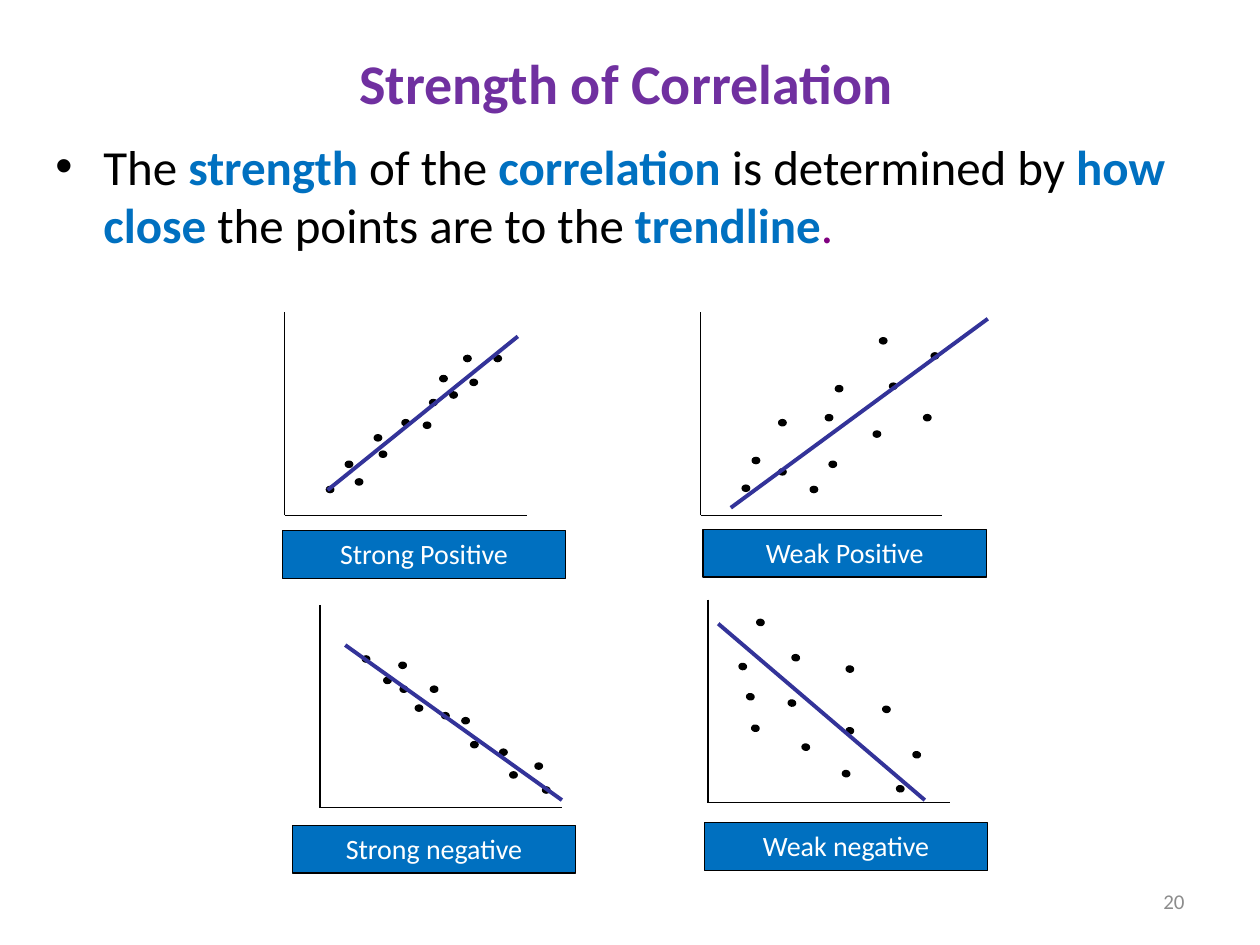
from lxml import etree
from pptx import Presentation
from pptx.dml.color import RGBColor
from pptx.enum.shapes import MSO_CONNECTOR, MSO_SHAPE
from pptx.enum.text import MSO_ANCHOR, MSO_AUTO_SIZE, PP_ALIGN
from pptx.oxml.ns import qn
from pptx.util import Inches, Pt

STRAIGHT = MSO_CONNECTOR.STRAIGHT
OVAL, RECTANGLE = MSO_SHAPE.OVAL, MSO_SHAPE.RECTANGLE
CENTER, RIGHT = PP_ALIGN.CENTER, PP_ALIGN.RIGHT
TOP, MIDDLE = MSO_ANCHOR.TOP, MSO_ANCHOR.MIDDLE

FONT = "Calibri"
COLORS = {
    "black": "000000", "white": "FFFFFF", "blue": "0070C0", "title": "7030A0",
    "period": "800080", "trend": "333399", "number": "8C8C8C",
}

# Content
TITLE = "Strength of Correlation"
SLIDE_NUMBER = "20"
STATEMENT = [  # text, colour, bold
    ("The ", "black", False), ("strength ", "blue", True),
    ("of the ", "black", False), ("correlation ", "blue", True),
    ("is determined by ", "black", False), ("how close ", "blue", True),
    ("the points are to the ", "black", False), ("trendline", "blue", True),
    (".", "period", False),
]
# Each plot: label and its corner, axis origin, trend line ends, dot corners
PLOTS = [
    {"label": "Strong Positive", "label_at": (2.24, 4.21), "origin": (2.26, 4.09),
     "trend": (2.6, 3.89, 4.11, 2.67), "rotation": 0,
     "dots": [(2.59, 3.86), (2.82, 3.8), (2.74, 3.66), (3.36, 3.35), (3.01, 3.58),
              (2.97, 3.45), (3.19, 3.33), (3.73, 3.01), (3.57, 3.11), (3.49, 2.98),
              (3.92, 2.82), (3.68, 2.82), (3.41, 3.17)]},
    {"label": "Weak Positive", "label_at": (5.58, 4.2), "origin": (5.56, 4.09),
     "trend": (5.8, 4.03, 7.84, 2.53), "rotation": 0,
     "dots": [(5.89, 3.85), (6.18, 3.72), (5.97, 3.63), (6.43, 3.86), (6.58, 3.66),
              (6.18, 3.33), (6.93, 3.42), (7.33, 3.29), (6.63, 3.06), (7.06, 3.04),
              (7.39, 2.8), (6.98, 2.68), (6.55, 3.29)]},
    {"label": "Strong negative", "label_at": (2.32, 6.55), "origin": (2.54, 6.41),
     "trend": (2.74, 5.12, 4.46, 6.35), "rotation": 90,
     "dots": [(2.88, 5.2), (3.05, 5.37), (3.17, 5.25), (3.18, 5.44), (3.3, 5.59),
              (3.42, 5.44), (3.51, 5.65), (4.05, 6.12), (3.74, 5.88), (3.97, 5.94),
              (4.31, 6.24), (4.25, 6.05), (3.67, 5.69)]},
    {"label": "Weak negative", "label_at": (5.59, 6.53), "origin": (5.62, 6.37),
     "trend": (5.7, 4.95, 7.34, 6.35), "rotation": 99,
     "dots": [(6.01, 4.91), (5.87, 5.26), (6.29, 5.19), (5.93, 5.5), (6.26, 5.55),
              (6.72, 5.28), (5.97, 5.75), (6.69, 6.11), (6.37, 5.9), (7.01, 5.6),
              (7.12, 6.23), (7.25, 5.96), (6.72, 5.77)]},
]
AXIS_WIDTH, AXIS_HEIGHT = 1.92, 1.61
LABEL_SIZE = (2.25, 0.38)


def color(name):
    return RGBColor.from_string(COLORS[name])


def place(shape, left, top, width, height):
    shape.left, shape.top = Inches(left), Inches(top)
    shape.width, shape.height = Inches(width), Inches(height)


def write(shape, text, size, color_name, alignment, anchor, bold=False):
    frame = shape.text_frame
    frame.word_wrap = True
    frame.auto_size = MSO_AUTO_SIZE.NONE
    frame.vertical_anchor = anchor
    frame.text = text
    paragraph = frame.paragraphs[0]
    paragraph.alignment = alignment
    font = paragraph.font
    font.name, font.size, font.bold = FONT, Pt(size), bold
    font.color.rgb = color(color_name)


def add_line(shapes, ends, color_name, width):
    line = shapes.add_connector(STRAIGHT, *map(Inches, ends))
    line.line.color.rgb = color(color_name)
    line.line.width = Pt(width)
    etree.SubElement(line._element.spPr, qn("a:effectLst"))


def add_filled(shapes, kind, box, fill):
    shape = shapes.add_shape(kind, *map(Inches, box))
    shape.shadow.inherit = False
    shape.fill.solid()
    shape.fill.fore_color.rgb = color(fill)
    shape.line.color.rgb = color("black")
    shape.line.width = Pt(0.75)
    return shape


def add_plot(slide, plot):
    # Axes and dots stay together as one group
    group = slide.shapes.add_group_shape()
    x, y = plot["origin"]
    add_line(group.shapes, (x, y - AXIS_HEIGHT, x, y), "black", 0.75)
    add_line(group.shapes, (x, y, x + AXIS_WIDTH, y), "black", 0.75)
    dot_size = (0.05, 0.06) if plot["rotation"] else (0.06, 0.05)
    for corner in plot["dots"]:
        dot = add_filled(group.shapes, OVAL, corner + dot_size, "black")
        dot.rotation = plot["rotation"]

    add_line(slide.shapes, plot["trend"], "trend", 2.25)
    label = add_filled(slide.shapes, RECTANGLE, plot["label_at"] + LABEL_SIZE, "blue")
    write(label, plot["label"], 16, "white", CENTER, TOP)


def add_statement(body):
    place(body, 0.34, 1.03, 9.49, 1.14)
    body.text_frame.auto_size = MSO_AUTO_SIZE.NONE
    paragraph = body.text_frame.paragraphs[0]
    paragraph.space_before = Pt(5.6)
    paragraph.font.name, paragraph.font.size = FONT, Pt(28)
    for text, color_name, bold in STATEMENT:
        run = paragraph.add_run()
        run.text = text
        run.font.bold = bold
        run.font.color.rgb = color(color_name)
    # Hanging bullet
    properties = paragraph._p.get_or_add_pPr()
    properties.set("marL", str(Inches(0.38)))
    properties.set("indent", str(-Inches(0.38)))
    etree.SubElement(properties, qn("a:buFont")).set("typeface", "Arial")
    bullet = etree.SubElement(properties, qn("a:buChar"))
    bullet.set("char", "•")
    # The schema wants run defaults after the bullet
    properties.append(properties.find(qn("a:defRPr")))


def main():
    presentation = Presentation()
    presentation.slide_width, presentation.slide_height = Inches(10), Inches(7.5)
    slide = presentation.slides.add_slide(presentation.slide_layouts[1])

    # Title and statement
    title = slide.shapes.title
    place(title, 0.47, 0.03, 9, 1.25)
    write(title, TITLE, 32, "title", CENTER, MIDDLE, bold=True)
    add_statement(slide.placeholders[1])

    # Scatter plots
    for plot in PLOTS:
        add_plot(slide, plot)

    # Slide number
    number = slide.shapes.add_textbox(*map(Inches, (7.17, 6.95, 2.33, 0.4)))
    write(number, SLIDE_NUMBER, 12, "number", RIGHT, MIDDLE)

    presentation.save("out.pptx")


if __name__ == "__main__":
    main()
